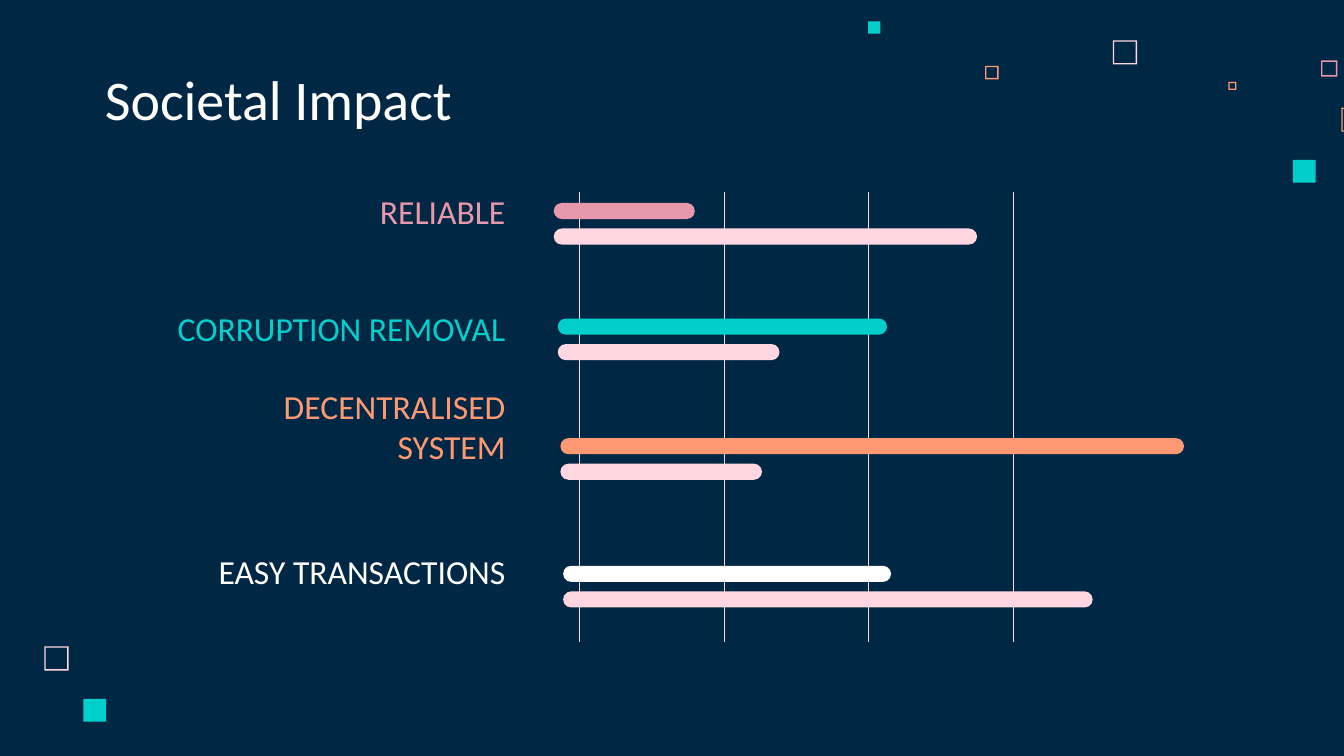
from lxml.etree import SubElement
from pptx import Presentation
from pptx.dml.color import RGBColor
from pptx.enum.shapes import MSO_CONNECTOR as Connector, MSO_SHAPE as Shape
from pptx.enum.text import MSO_ANCHOR as Anchor, MSO_AUTO_SIZE as AutoSize, PP_ALIGN as Align
from pptx.oxml.ns import qn
from pptx.util import Inches, Pt

COLORS = {
    "navy": "002845", "white": "FFFFFF", "blush": "FFD6E1",
    "rose": "E898AC", "orange": "FF9973", "teal": "00CFCC",
}
TITLE = "Societal Impact"
IMPACTS = [
    {"label": "RELIABLE", "ink": "rose", "label_at": (1.8, 1.39),
     "bars_at": (4.12, 1.51), "lengths": (1.05, 3.15)},
    {"label": "CORRUPTION REMOVAL", "ink": "teal", "label_at": (1.06, 2.26),
     "bars_at": (4.15, 2.37), "lengths": (2.45, 1.65)},
    {"label": "DECENTRALISED SYSTEM", "ink": "orange", "label_at": (1.31, 3.14),
     "bars_at": (4.17, 3.26), "lengths": (4.64, 1.5)},
    {"label": "EASY TRANSACTIONS", "ink": "white", "label_at": (1.41, 4.07),
     "bars_at": (4.19, 4.21), "lengths": (2.44, 3.94)},
]
FRAMES = [
    (8.28, 0.3, 0.18, "blush"), (9.83, 0.45, 0.12, "rose"),
    (9.14, 0.61, 0.06, "orange"), (9.98, 0.8, 0.18, "orange"),
    (7.33, 0.49, 0.1, "orange"), (0.33, 4.81, 0.18, "blush"),
]
SQUARES = [(9.62, 1.19, 0.17), (6.46, 0.16, 0.09), (0.62, 5.2, 0.17)]

WIDTH = 10
HEIGHT = WIDTH * 9 / 16
FRAME_EDGE = 0.01
GRID_LEFT, GRID_RIGHT, GRID_TOP, GRID_BOTTOM, GRID_COUNT = 4.31, 7.54, 1.43, 4.78, 4
LABEL_RIGHT, LABEL_HEIGHT = 3.86, 0.43
BAR_HEIGHT, BAR_STEP = 0.12, 0.19
TEXT_FORMAT = {
    "word_wrap": True, "auto_size": AutoSize.NONE, "vertical_anchor": Anchor.BOTTOM,
    "margin_left": Inches(0.1), "margin_right": Inches(0.1),
    "margin_top": Inches(0.1), "margin_bottom": Inches(0.1),
}


def color(name):
    return RGBColor.from_string(COLORS[name])


def add_block(page, kind, left, top, width, height, fill, adjustment=None):
    block = page.shapes.add_shape(kind, *map(Inches, (left, top, width, height)))
    block.shadow.inherit = False
    block.fill.solid()
    block.fill.fore_color.rgb = color(fill)
    block.line.fill.background()
    if adjustment is not None:
        block.adjustments[0] = adjustment


def add_grid_line(page, x):
    line = page.shapes.add_connector(
        Connector.STRAIGHT, *map(Inches, (x, GRID_TOP, x, GRID_BOTTOM)))
    line.line.color.rgb = color("blush")
    line.line.width = Pt(0.25)
    SubElement(line._element.spPr, qn("a:effectLst"))


def write(box, text, size, ink, align):
    for name, value in TEXT_FORMAT.items():
        setattr(box.text_frame, name, value)
    para = box.text_frame.paragraphs[0]
    para.alignment = align
    span = para.add_run()
    span.text = text
    for name, value in {"name": "Calibri", "size": Pt(size)}.items():
        setattr(span.font, name, value)
    span.font.color.rgb = color(ink)


def main():
    deck = Presentation()
    deck.slide_width, deck.slide_height = Inches(WIDTH), Inches(HEIGHT)
    page = deck.slides.add_slide(deck.slide_layouts[5])
    page.background.fill.solid()
    page.background.fill.fore_color.rgb = color("navy")

    for left, top, size, fill in FRAMES:
        add_block(page, Shape.FRAME, left, top, size, size, fill, FRAME_EDGE / size)
    for left, top, size in SQUARES:
        add_block(page, Shape.RECTANGLE, left, top, size, size, "teal")

    title = page.shapes.title
    place = {"left": 0.68, "top": 0.45, "width": 5.17, "height": 0.63}
    for name, value in place.items():
        setattr(title, name, Inches(value))
    write(title, TITLE, 30, "white", Align.LEFT)

    grid_step = (GRID_RIGHT - GRID_LEFT) / (GRID_COUNT - 1)
    for column in range(GRID_COUNT):
        add_grid_line(page, GRID_LEFT + column * grid_step)

    for impact in IMPACTS:
        left, top = impact["bars_at"]
        for row, (length, fill) in enumerate(zip(impact["lengths"], (impact["ink"], "blush"))):
            add_block(page, Shape.ROUNDED_RECTANGLE, left, top + row * BAR_STEP,
                      length, BAR_HEIGHT, fill, 0.5)
        left, top = impact["label_at"]
        box = page.shapes.add_textbox(
            *map(Inches, (left, top, LABEL_RIGHT - left, LABEL_HEIGHT)))
        write(box, impact["label"], 18, impact["ink"], Align.RIGHT)

    deck.save("out.pptx")


if __name__ == "__main__":
    main()
